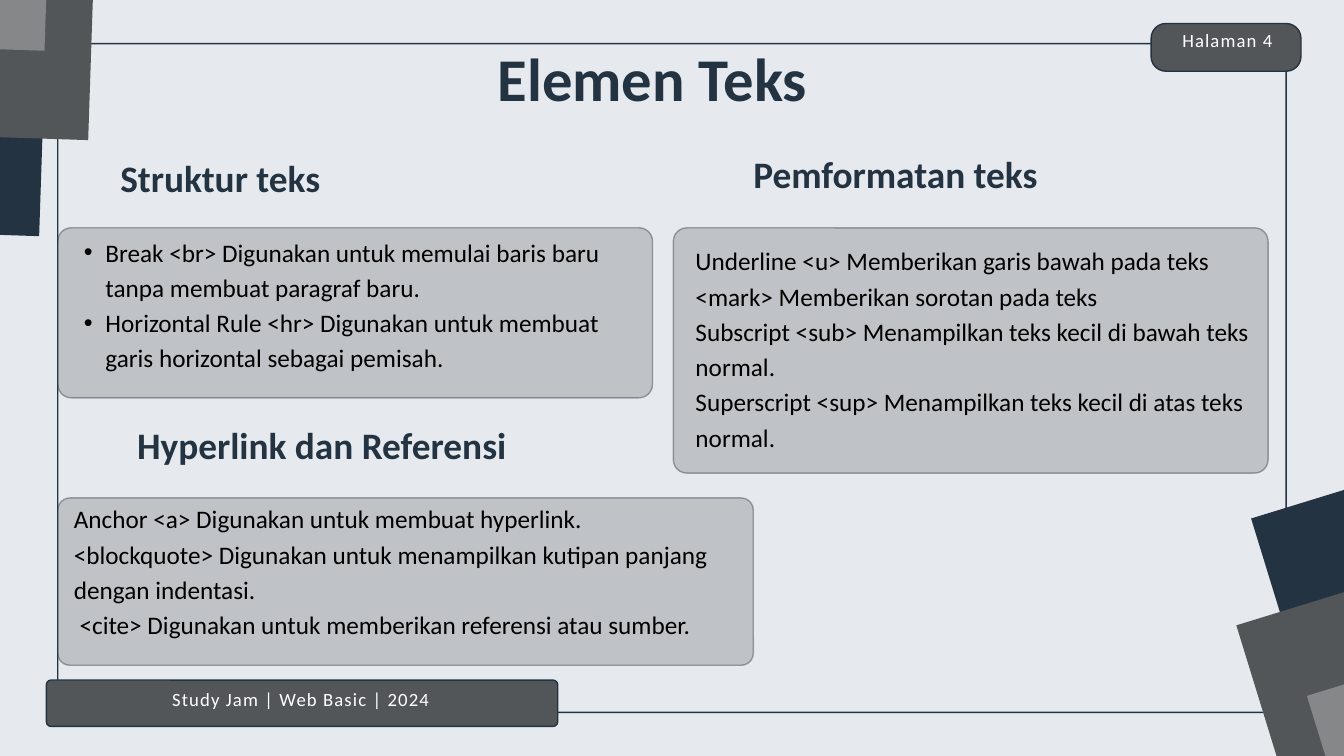
from dataclasses import dataclass
from typing import NamedTuple

from lxml.etree import SubElement
from pptx import Presentation
from pptx.dml.color import RGBColor
from pptx.enum.shapes import MSO_SHAPE
from pptx.enum.text import MSO_AUTO_SIZE, PP_ALIGN
from pptx.oxml.ns import qn
from pptx.util import Inches, Pt

SLIDE_WIDTH, SLIDE_HEIGHT = Inches(20), Inches(11.25)
COLUMNS, ROWS = 20, 11.25
CELL_WIDTH, CELL_HEIGHT = SLIDE_WIDTH / COLUMNS, SLIDE_HEIGHT / ROWS


@dataclass(frozen=True)
class Theme:
    background: str = "E6EAEF"
    navy: str = "243342"
    slate: str = "535659"
    gray: str = "858789"
    black: str = "000000"
    white: str = "FFFFFF"
    font: str = "Calibri"
    title_size: float = 65
    heading_size: float = 40
    body_size: float = 27
    label_size: float = 20
    outline: float = 1.5
    panel_opacity: int = 40


THEME = Theme()


class Area(NamedTuple):
    """Columns and rows of the slide grid."""
    column: float
    row: float
    columns: float
    rows: float

    def emu(self) -> tuple[int, int, int, int]:
        return (round(self.column * CELL_WIDTH), round(self.row * CELL_HEIGHT),
                round(self.columns * CELL_WIDTH), round(self.rows * CELL_HEIGHT))


class Section(NamedTuple):
    heading: str
    heading_at: tuple[float, float]
    panel: Area
    radius: float
    body: Area
    lines: list[str]
    bullets: bool = False


class Label(NamedTuple):
    text: str
    plate: Area
    radius: float
    text_area: Area


class Corner(NamedTuple):
    rotation: float
    origins: list[tuple[float, float]]


SECTIONS = [
    Section("Struktur teks", (1.79, 2.47), Area(0.86, 3.39, 8.85, 2.53), 0.2,
            Area(0.93, 3.45, 8.37, 2.21),
            ["Break <br> Digunakan untuk memulai baris baru tanpa membuat paragraf baru.",
             "Horizontal Rule <hr> Digunakan untuk membuat garis horizontal sebagai pemisah."],
            bullets=True),
    Section("Pemformatan teks", (11.21, 2.4), Area(10.02, 3.39, 8.85, 3.65), 0.2,
            Area(10.35, 3.58, 8.37, 4.29),
            ["Underline <u> Memberikan garis bawah pada teks",
             "<mark> Memberikan sorotan pada teks",
             "Subscript <sub> Menampilkan teks kecil di bawah teks normal.",
             "Superscript <sup> Menampilkan teks kecil di atas teks normal."]),
    Section("Hyperlink dan Referensi", (2.04, 6.44), Area(0.86, 7.41, 10.35, 2.49), 0.18,
            Area(1.1, 7.42, 9.9, 2.21),
            ["Anchor <a> Digunakan untuk membuat hyperlink.",
             "<blockquote> Digunakan untuk menampilkan kutipan panjang dengan indentasi.",
             " <cite> Digunakan untuk memberikan referensi atau sumber."]),
]
LABELS = [
    Label("Halaman 4", Area(17.13, 0.35, 2.23, 0.71), 0.22, Area(17.08, 0.38, 2.37, 0.49)),
    Label("Study Jam | Web Basic | 2024", Area(0.69, 10.12, 7.61, 0.69), 0.07,
          Area(0.58, 10.18, 7.79, 0.49)),
]
CORNERS = [
    Corner(271.9, [(-5.4, -2.67), (-4.67, -4.1), (-5.32, -5.43)]),
    Corner(72.9, [(19.39, 6.67), (19.17, 8.26), (20.22, 9.31)]),
]
SQUARE_SIZE = (6.07, 6.1)


def rgb(color: str) -> RGBColor:
    return RGBColor.from_string(color)


def set_opacity(fill_parent, percent: int) -> None:
    color = fill_parent.find(qn("a:solidFill")).find(qn("a:srgbClr"))
    SubElement(color, qn("a:alpha")).set("val", str(percent * 1000))


def add_rounded(slide, area: Area, radius: float, fill: str, opacity: int = 100) -> None:
    shape = slide.shapes.add_shape(MSO_SHAPE.ROUNDED_RECTANGLE, *area.emu())
    shape.adjustments[0] = radius / min(area.columns, area.rows)
    shape.shadow.inherit = False
    shape.fill.solid()
    shape.fill.fore_color.rgb = rgb(fill)
    shape.line.color.rgb = rgb(THEME.navy)
    shape.line.width = Pt(THEME.outline)
    if opacity < 100:
        properties = shape.element.spPr
        set_opacity(properties, opacity)
        set_opacity(properties.find(qn("a:ln")), opacity)


def add_corner(slide, corner: Corner) -> None:
    for origin, color in zip(corner.origins, (THEME.navy, THEME.slate, THEME.gray)):
        square = slide.shapes.add_shape(MSO_SHAPE.RECTANGLE, *Area(*origin, *SQUARE_SIZE).emu())
        square.rotation = corner.rotation
        square.shadow.inherit = False
        square.fill.solid()
        square.fill.fore_color.rgb = rgb(color)
        square.line.fill.background()


def add_bullet(paragraph) -> None:
    properties = paragraph._p.get_or_add_pPr()
    properties.set("marL", str(Inches(0.64)))
    properties.set("indent", str(Inches(-0.32)))
    SubElement(properties, qn("a:buFont")).set("typeface", "Arial")
    SubElement(properties, qn("a:buChar")).set("char", "•")


def add_text(slide, area: Area, lines: list[str], *, size: float, leading: float,
             color: str, bold: bool = False, align: PP_ALIGN = PP_ALIGN.LEFT,
             tracking: float = 0, bullets: bool = False) -> None:
    frame = slide.shapes.add_textbox(*area.emu()).text_frame
    frame.word_wrap = True
    frame.auto_size = MSO_AUTO_SIZE.SHAPE_TO_FIT_TEXT
    frame.margin_left = frame.margin_right = frame.margin_top = frame.margin_bottom = 0
    for index, line in enumerate(lines):
        paragraph = frame.add_paragraph() if index else frame.paragraphs[0]
        if bullets:
            add_bullet(paragraph)
        paragraph.alignment = align
        paragraph.line_spacing = Pt(leading)
        run = paragraph.add_run()
        run.text = line
        run.font.name = THEME.font
        run.font.size = Pt(size)
        run.font.bold = bold
        run.font.color.rgb = rgb(color)
        if tracking:
            run._r.get_or_add_rPr().set("spc", str(round(tracking * 100)))


def add_section(slide, section: Section) -> None:
    add_rounded(slide, section.panel, section.radius, THEME.gray, THEME.panel_opacity)
    add_text(slide, section.body, section.lines, size=THEME.body_size, leading=37.8,
             color=THEME.black, bullets=section.bullets)
    add_text(slide, Area(*section.heading_at, 7.51, 0.76), [section.heading],
             size=THEME.heading_size, leading=36.8, color=THEME.navy, bold=True)


def add_label(slide, label: Label) -> None:
    add_rounded(slide, label.plate, label.radius, THEME.slate)
    add_text(slide, label.text_area, [label.text], size=THEME.label_size, leading=28,
             color=THEME.white, align=PP_ALIGN.CENTER, tracking=1.2)


def main() -> None:
    presentation = Presentation()
    presentation.slide_width, presentation.slide_height = SLIDE_WIDTH, SLIDE_HEIGHT
    slide = presentation.slides.add_slide(presentation.slide_layouts[6])
    slide.background.fill.solid()
    slide.background.fill.fore_color.rgb = rgb(THEME.background)

    add_rounded(slide, Area(0.86, 0.65, 18.28, 9.95), 0.1, THEME.background)
    for corner in CORNERS:
        add_corner(slide, corner)
    for section in SECTIONS:
        add_section(slide, section)
    add_text(slide, Area(6.11, 0.86, 7.2, 1.21), ["Elemen Teks"], size=THEME.title_size,
             leading=59.8, color=THEME.navy, bold=True, align=PP_ALIGN.CENTER)
    for label in LABELS:
        add_label(slide, label)
    presentation.save("out.pptx")


if __name__ == "__main__":
    main()
